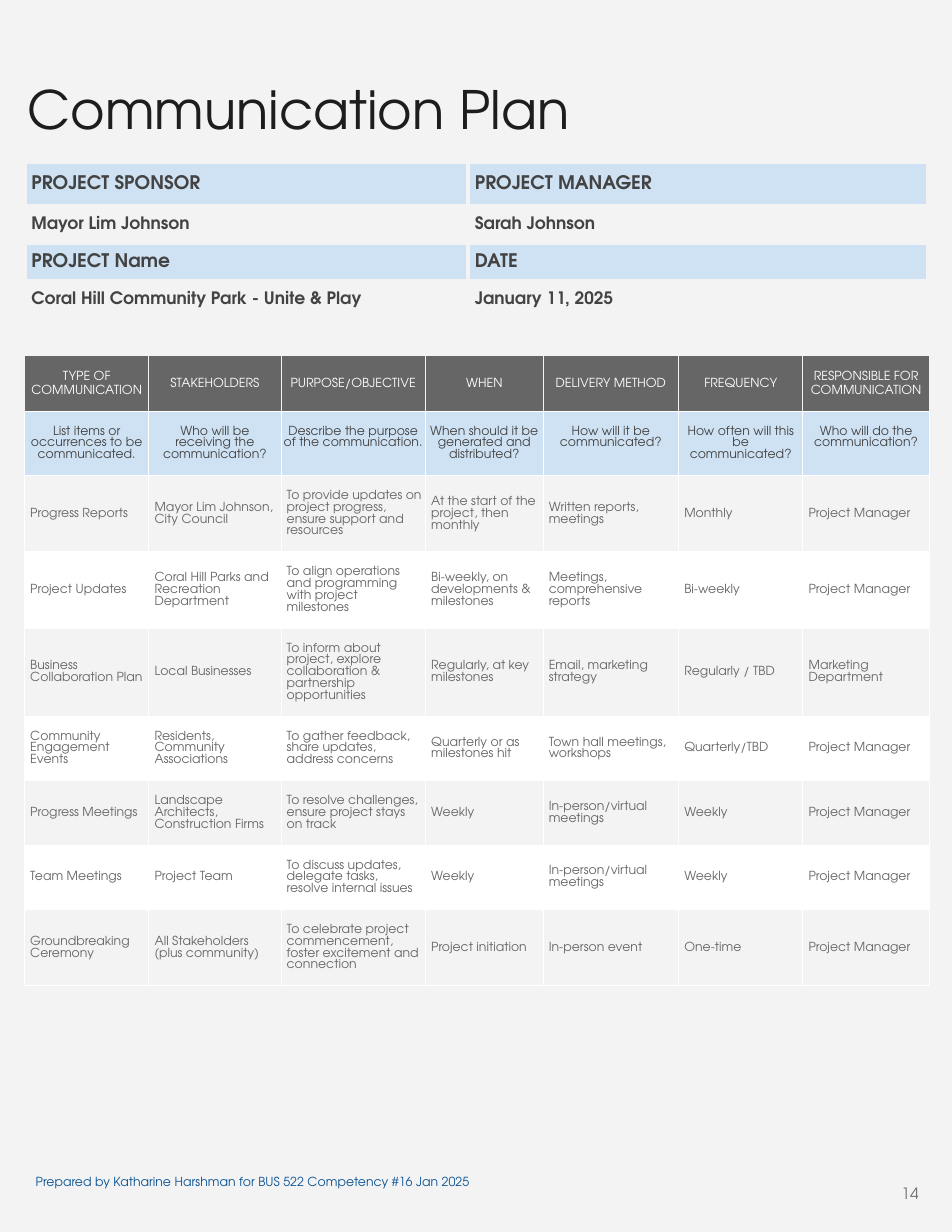
from lxml import etree
from pptx import Presentation
from pptx.dml.color import RGBColor
from pptx.enum.text import MSO_ANCHOR, PP_ALIGN
from pptx.oxml.ns import qn
from pptx.util import Inches, Pt

LEFT, CENTER, RIGHT = PP_ALIGN.LEFT, PP_ALIGN.CENTER, PP_ALIGN.RIGHT
TOP, MIDDLE = MSO_ANCHOR.TOP, MSO_ANCHOR.MIDDLE
FONT = "TeX Gyre Adventor"
COLORS = {
    "page": "F3F3F3",
    "white": "FFFFFF",
    "header": "666666",
    "blue": "CFE2F3",
    "dark": "434343",
    "body": "666666",
    "title": "1D1D1D",
    "footer": "0B5394",
    "number": "6F6F6F",
}

PROJECT_COLUMNS = [3.96, 4.11]
PROJECT_HEIGHTS = [0.39, 0.33, 0.34, 0.33]
PROJECT_ROWS = [
    ["PROJECT SPONSOR", "PROJECT MANAGER"],
    ["Mayor Lim Johnson", "Sarah Johnson"],
    ["PROJECT Name", "DATE"],
    ["Coral Hill Community Park - Unite & Play", "January 11, 2025"],
]

PLAN_COLUMNS = [1.11, 1.18, 1.29, 1.05, 1.21, 1.11, 1.13]
PLAN_ROW_HEIGHT = 0.24  # minimum; rows grow with their text
PLAN_ROWS = [
    ["TYPE OF COMMUNICATION", "STAKEHOLDERS", "PURPOSE/OBJECTIVE", "WHEN",
     "DELIVERY METHOD", "FREQUENCY", "RESPONSIBLE FOR COMMUNICATION"],
    ["List items or occurrences to be communicated.",
     "Who will be receiving the communication?",
     "Describe the purpose of the communication.",
     "When should it be generated and distributed?",
     "How will it be communicated?",
     "How often will this be communicated?",
     "Who will do the communication?"],
    ["Progress Reports", "Mayor Lim Johnson,\nCity Council",
     "To provide updates on project progress, ensure support and resources",
     "At the start of the project, then monthly",
     "Written reports, meetings", "Monthly", "Project Manager"],
    ["Project Updates", "Coral Hill Parks and Recreation Department",
     "To align operations and programming with project milestones",
     "Bi-weekly, on developments & milestones",
     "Meetings, comprehensive reports", "Bi-weekly", "Project Manager"],
    ["Business Collaboration Plan", "Local Businesses",
     "To inform about project, explore collaboration & partnership opportunities",
     "Regularly, at key milestones", "Email, marketing strategy",
     "Regularly / TBD", "Marketing Department"],
    ["Community Engagement Events", "Residents,\nCommunity Associations",
     "To gather feedback, share updates, address concerns",
     "Quarterly or as milestones hit", "Town hall meetings, workshops",
     "Quarterly/TBD", "Project Manager"],
    ["Progress Meetings", "Landscape Architects, Construction Firms",
     "To resolve challenges, ensure project stays on track",
     "Weekly", "In-person/virtual meetings", "Weekly", "Project Manager"],
    ["Team Meetings", "Project Team",
     "To discuss updates, delegate tasks, resolve internal issues",
     "Weekly", "In-person/virtual meetings", "Weekly", "Project Manager"],
    ["Groundbreaking Ceremony", "All Stakeholders (plus community)",
     "To celebrate project commencement, foster excitement and connection",
     "Project initiation", "In-person event", "One-time", "Project Manager"],
]


def rgb(color):
    return RGBColor.from_string(COLORS[color])


def write_text(frame, text, size, color, align=LEFT, bold=False, spacing=None):
    frame.text = text
    for para in frame.paragraphs:
        para.alignment = align
        if spacing:
            para.line_spacing = spacing
        font = para.font
        font.name, font.size, font.bold = FONT, Pt(size), bold
        font.color.rgb = rgb(color)


def add_text(page, area, text, size, color, align=LEFT):
    box = page.shapes.add_textbox(*map(Inches, area))
    frame = box.text_frame
    frame.word_wrap = True
    frame.vertical_anchor = TOP
    frame.margin_left = frame.margin_right = Inches(0.1)
    frame.margin_top = frame.margin_bottom = Inches(0.1)
    write_text(frame, text, size, color, align)


def add_grid(page, left, top, columns, heights):
    """Add a table without banding and return it."""
    frame = page.shapes.add_table(
        len(heights), len(columns), Inches(left), Inches(top),
        Inches(sum(columns)), Inches(sum(heights)))
    table = frame.table
    table.first_row = table.horz_banding = False
    for column, width in zip(table.columns, columns):
        column.width = Inches(width)
    for row, height in zip(table.rows, heights):
        row.height = Inches(height)
    return table


def style_cell(cell, fill, borders, width, margins, anchor=MIDDLE):
    """Borders are the colours of the left, right, top and bottom edges."""
    properties = cell._tc.get_or_add_tcPr()
    for edge, color in zip("LRTB", borders):
        line = etree.SubElement(properties, qn(f"a:ln{edge}"), w=str(Pt(width)))
        solid = etree.SubElement(line, qn("a:solidFill"))
        etree.SubElement(solid, qn("a:srgbClr"), val=COLORS[color])
    if fill:
        cell.fill.solid()
        cell.fill.fore_color.rgb = rgb(fill)
    else:
        cell.fill.background()
    cell.vertical_anchor = anchor
    (cell.margin_left, cell.margin_top,
     cell.margin_right, cell.margin_bottom) = map(Inches, margins)


def add_project_table(page):
    table = add_grid(page, 0.22, 1.45, PROJECT_COLUMNS, PROJECT_HEIGHTS)
    for row, texts in enumerate(PROJECT_ROWS):
        is_label = row % 2 == 0
        for column, text in enumerate(texts):
            cell = table.cell(row, column)
            style_cell(cell, "blue" if is_label else None, ["page"] * 4, 3,
                       (0.06, 0, 0.06, 0))
            write_text(cell.text_frame, text, 12 if is_label else 11, "dark",
                       bold=True)


def add_plan_table(page):
    table = add_grid(page, 0.22, 3.17, PLAN_COLUMNS,
                     [PLAN_ROW_HEIGHT] * len(PLAN_ROWS))
    for row, texts in enumerate(PLAN_ROWS):
        fill, color, align = "white" if row % 2 else "page", "body", LEFT
        borders, anchor, spacing, inset = ["white"] * 4, MIDDLE, None, 0.05
        if row == 0:
            fill, color, align, inset = "header", "white", CENTER, 0.02
            borders, spacing = ["page", "page", "page", "white"], 1.15
        elif row == 1:
            fill, color, align, inset = "blue", "dark", CENTER, 0.02
            anchor = TOP
        for column, text in enumerate(texts):
            cell = table.cell(row, column)
            style_cell(cell, fill, borders, 0.75, (inset, 0.13, 0.02, 0.13), anchor)
            write_text(cell.text_frame, text, 8, color, align, spacing=spacing)


def main():
    deck = Presentation()
    deck.slide_width, deck.slide_height = Inches(8.5), Inches(11)
    page = deck.slides.add_slide(deck.slide_layouts[6])
    page.background.fill.solid()
    page.background.fill.fore_color.rgb = rgb("page")

    add_plan_table(page)
    add_project_table(page)
    add_text(page, (0.22, 10.42, 8.08, 0.42),
             "Prepared by Katharine Harshman for BUS 522 Competency #16 Jan 2025",
             8, "footer")
    add_text(page, (0.15, 0.58, 7.94, 0.92), "Communication Plan", 34, "title")
    add_text(page, (7.79, 10.49, 0.51, 0.84), "14", 10, "number", RIGHT)
    deck.save("out.pptx")


if __name__ == "__main__":
    main()
